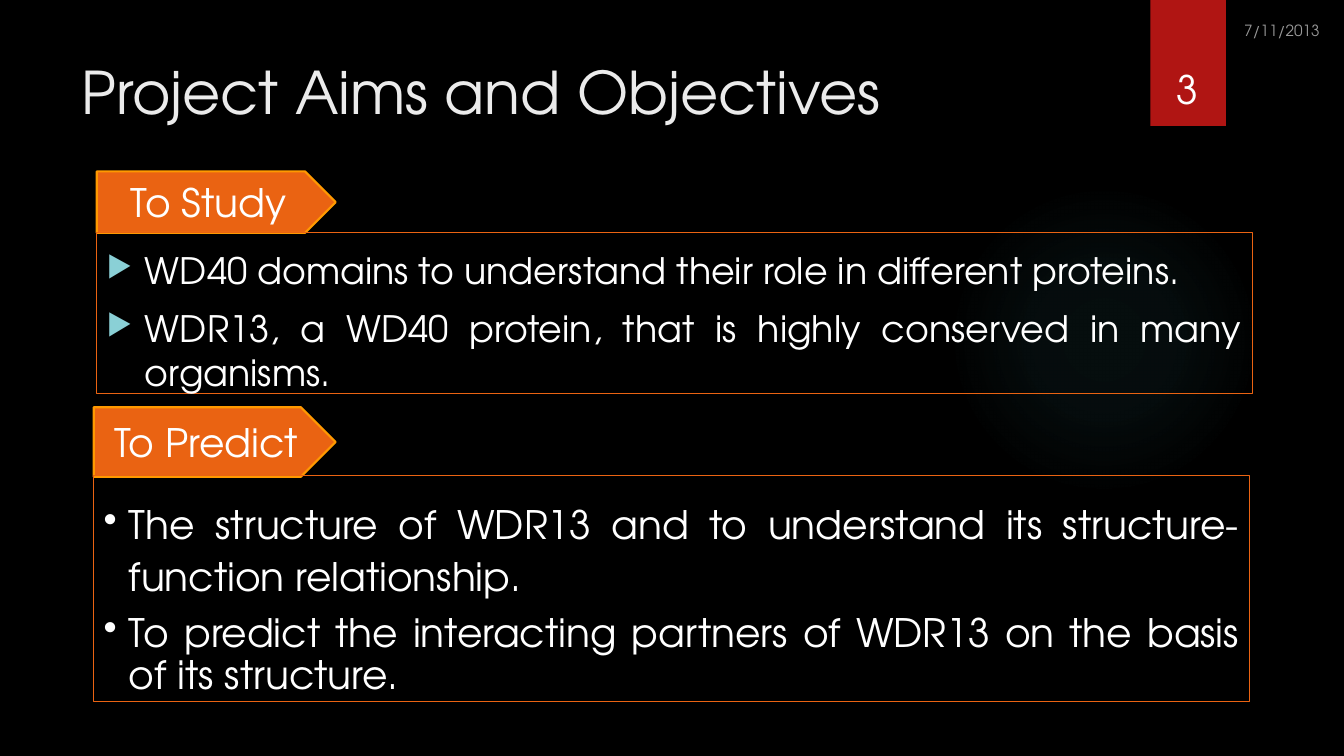
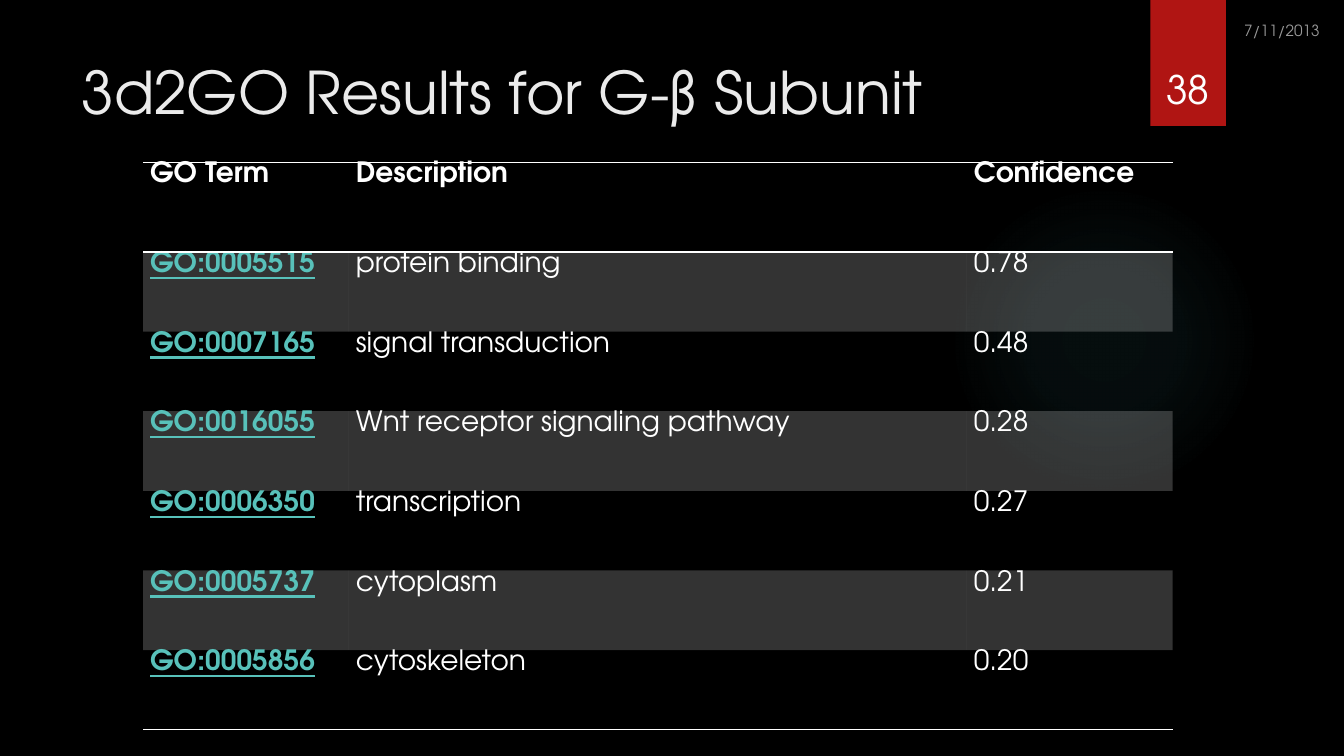
from dataclasses import dataclass

from lxml import etree
from pptx import Presentation
from pptx.dml.color import RGBColor
from pptx.enum.shapes import MSO_SHAPE
from pptx.enum.text import MSO_ANCHOR, PP_ALIGN
from pptx.oxml import parse_xml
from pptx.oxml.ns import nsdecls, qn
from pptx.util import Inches, Pt

RECT, OVAL, ARROW = MSO_SHAPE.RECTANGLE, MSO_SHAPE.OVAL, MSO_SHAPE.PENTAGON
TOP, MIDDLE, BOTTOM = MSO_ANCHOR.TOP, MSO_ANCHOR.MIDDLE, MSO_ANCHOR.BOTTOM
LEFT, CENTER, JUSTIFY = PP_ALIGN.LEFT, PP_ALIGN.CENTER, PP_ALIGN.JUSTIFY

FONT = "TeX Gyre Adventor"
BLACK = RGBColor(0x00, 0x00, 0x00)
WHITE = RGBColor(0xFF, 0xFF, 0xFF)
PALE = RGBColor(0xEB, 0xEB, 0xEB)
RED = RGBColor(0xB0, 0x15, 0x13)
ORANGE = RGBColor(0xEA, 0x63, 0x12)
AMBER = RGBColor(0xFF, 0x99, 0x00)
AQUA = RGBColor(0x8A, 0xD0, 0xD6)
TEAL = RGBColor(0x50, 0xB9, 0xC1)
LINK = RGBColor(0x58, 0xC1, 0xBA)
NO_STYLE = "{2D5ABB26-0587-4C30-8999-92F81FD0307C}"


@dataclass
class Box:
    left: float
    top: float
    width: float
    height: float

    def place(self) -> tuple:
        return tuple(map(Inches, (self.left, self.top, self.width, self.height)))


@dataclass
class Bullet:
    text: str
    before: float
    pitch: float


@dataclass
class Panel:
    label: str
    tag: Box
    body: Box
    size: float
    mark: str
    indent: float
    tint: RGBColor
    scale: int
    items: list[Bullet]


PANELS = [
    Panel("To Study", Box(0.96, 1.7, 2.37, 0.61), Box(0.96, 2.31, 11.46, 1.59),
          26, "▶", 0.38, AQUA, 80, [
              Bullet("WD40 domains to understand their role in different proteins.", 18, 0.9),
              Bullet("WDR13, a WD40 protein, that is highly conserved in many organisms.", 10, 1.0)]),
    Panel("To Predict", Box(0.93, 4.04, 2.4, 0.69), Box(0.93, 4.72, 11.46, 2.24),
          28, "•", 0.25, WHITE, 100, [
              Bullet("The structure of WDR13 and to understand its structure-function relationship.", 10, 1.1),
              Bullet("To predict the interacting partners of WDR13 on the basis of its structure.", 10, 0.9)]),
]

TERMS = [
    ("GO Term", "Description", "Confidence"),
    ("GO:0005515", "protein binding", "0.78"),
    ("GO:0007165", "signal transduction", "0.48"),
    ("GO:0016055", "Wnt receptor signaling pathway", "0.28"),
    ("GO:0006350", "transcription", "0.27"),
    ("GO:0005737", "cytoplasm", "0.21"),
    ("GO:0005856", "cytoskeleton", "0.20"),
]


# Text and fill helpers
def style(para, size: float, color: RGBColor = WHITE, bold: bool = False) -> None:
    for run in para.runs:
        run.font.name = FONT
        run.font.size = Pt(size)
        run.font.bold = bold
        run.font.color.rgb = color


def fade(node, share: int) -> None:
    """Give the solid colour inside node an opacity in percent."""
    color = next(node.iter(qn("a:srgbClr")))
    etree.SubElement(color, qn("a:alpha"), val=str(share * 1000))


def write(slide, box: Box, text: str, size: float, color: RGBColor = WHITE,
          align=LEFT, anchor=TOP):
    frame = slide.shapes.add_textbox(*box.place()).text_frame
    frame.word_wrap = True
    frame.vertical_anchor = anchor
    frame.text = text
    para = frame.paragraphs[0]
    para.alignment = align
    style(para, size, color)
    return para


def draw(slide, kind, box: Box, fill: RGBColor | None = None,
         line: RGBColor | None = None, width: float = 0.75):
    shape = slide.shapes.add_shape(kind, *box.place())
    shape.shadow.inherit = False
    if fill is None:
        shape.fill.background()
    else:
        shape.fill.solid()
        shape.fill.fore_color.rgb = fill
    if line is None:
        shape.line.fill.background()
    else:
        shape.line.color.rgb = line
        shape.line.width = Pt(width)
    return shape


# Parts shared by all slides
def glow(slide) -> None:
    shape = draw(slide, OVAL, Box(9.41, 1.83, 3.08, 3.08))
    stops = "".join(
        f'<a:gs pos="{pos * 1000}"><a:srgbClr val="{TEAL}">'
        f'<a:alpha val="{share * 1000}"/></a:srgbClr></a:gs>'
        for pos, share in ((0, 7), (36, 6), (69, 0)))
    grad = parse_xml(
        f'<a:gradFill {nsdecls("a")}><a:gsLst>{stops}</a:gsLst><a:path path="circle">'
        '<a:fillToRect l="50000" t="50000" r="50000" b="50000"/></a:path></a:gradFill>')
    props = shape.element.spPr
    props.replace(props.find(qn("a:noFill")), grad)


def start(deck, title: str, number: int):
    slide = deck.slides.add_slide(deck.slide_layouts[6])
    slide.background.fill.solid()
    slide.background.fill.fore_color.rgb = BLACK
    glow(slide)
    draw(slide, RECT, Box(11.41, 0, 0.75, 1.25), RED)
    write(slide, Box(0.71, 0.5, 10.29, 1.53), title, 42, PALE)
    date = write(slide, Box(12.24, 0.16, 1.08, 0.33), "7/11/2013", 11)
    fade(date.runs[0].font.fill._xPr, 60)
    write(slide, Box(11.32, 0.32, 0.92, 0.84), str(number), 28, WHITE, CENTER, BOTTOM)
    return slide


# Tagged panels with bullets
def add_mark(para, panel: Panel) -> None:
    props = para._p.get_or_add_pPr()
    props.set("marL", str(Inches(panel.indent)))
    props.set("indent", str(-Inches(panel.indent)))
    tint = etree.SubElement(props, qn("a:buClr"))
    etree.SubElement(tint, qn("a:srgbClr"), val=str(panel.tint))
    etree.SubElement(props, qn("a:buSzPct"), val=str(panel.scale * 1000))
    etree.SubElement(props, qn("a:buChar"), char=panel.mark)


def add_panel(slide, panel: Panel) -> None:
    tag = draw(slide, ARROW, panel.tag, ORANGE, AMBER, 1.5).text_frame
    tag.text = panel.label
    tag.vertical_anchor = MIDDLE
    tag.paragraphs[0].alignment = CENTER
    style(tag.paragraphs[0], 28)

    frame = draw(slide, RECT, panel.body, line=ORANGE).text_frame
    frame.word_wrap = True
    frame.vertical_anchor = TOP
    frame.margin_top = Inches(0.2)
    frame.text = "\n".join(item.text for item in panel.items)
    for para, item in zip(frame.paragraphs, panel.items):
        para.alignment = JUSTIFY
        para.line_spacing = item.pitch
        para.space_before = Pt(item.before)
        add_mark(para, panel)
        style(para, panel.size)


# Table of terms
def add_rule(cell, side: str) -> None:
    rule = parse_xml(
        f'<a:{side} {nsdecls("a")} w="{Pt(1)}"><a:solidFill>'
        f'<a:srgbClr val="{WHITE}"/></a:solidFill></a:{side}>')
    props = cell._tc.get_or_add_tcPr()
    props.insert(len(props.findall(qn("a:lnT"))), rule)


def fill_cell(cell, text: str, row: int, col: int) -> None:
    cell.margin_left = cell.margin_right = Inches(0.07)
    cell.margin_top = cell.margin_bottom = 0
    cell.text = text
    para = cell.text_frame.paragraphs[0]
    para.space_before = para.space_after = Pt(6)
    link = row > 0 and col == 0
    style(para, 20, LINK if link else WHITE, row == 0 or link)
    para.runs[0].font.underline = link
    if row % 2:
        cell.fill.solid()
        cell.fill.fore_color.rgb = WHITE
        fade(cell._tc.tcPr, 20)
    else:
        cell.fill.background()
    if row == 0:
        add_rule(cell, "lnT")
    if row in (0, len(TERMS) - 1):
        add_rule(cell, "lnB")


def add_terms(slide) -> None:
    box = Box(1.42, 1.61, 10.21, 5.61)
    table = slide.shapes.add_table(len(TERMS), len(TERMS[0]), *box.place()).table
    table.first_row = table.horz_banding = False
    table._tbl.tblPr.find(qn("a:tableStyleId")).text = NO_STYLE
    for column, width in zip(table.columns, (2.04, 6.13, 2.04)):
        column.width = Inches(width)
    for row, texts in enumerate(TERMS):
        table.rows[row].height = Inches(0.79 if row else 0.89)
        for col, text in enumerate(texts):
            fill_cell(table.cell(row, col), text, row, col)


def main() -> None:
    deck = Presentation()
    deck.slide_width, deck.slide_height = Inches(13.33), Inches(7.5)

    aims = start(deck, "Project Aims and Objectives", 3)
    for panel in PANELS:
        add_panel(aims, panel)

    add_terms(start(deck, "3d2GO Results for G-β Subunit", 38))
    deck.save("out.pptx")


if __name__ == "__main__":
    main()
